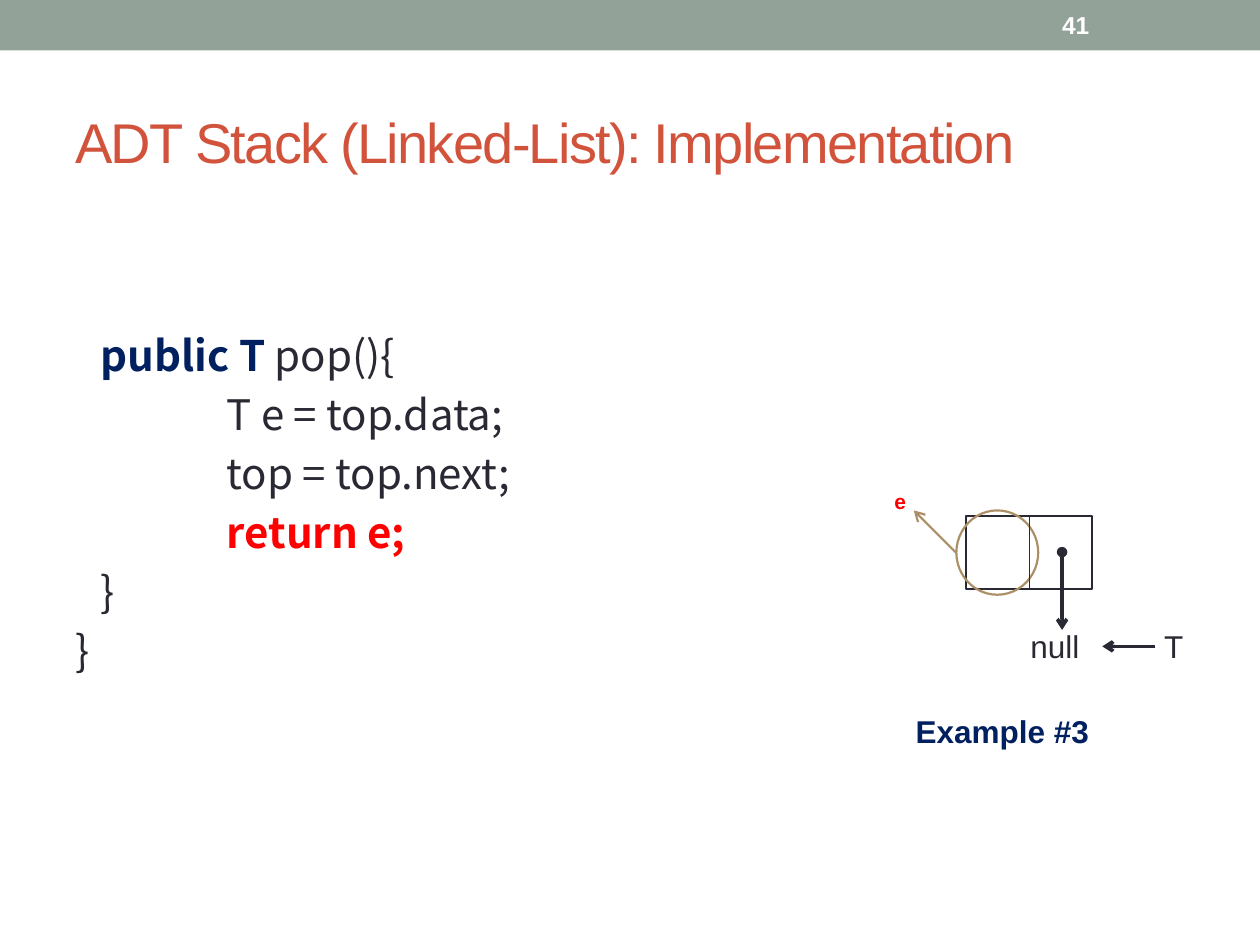
"""Builds a slide on popping the last node of a linked-list stack."""
from typing import NamedTuple, Optional

from lxml import etree
from pptx import Presentation
from pptx.dml.color import RGBColor
from pptx.enum.shapes import MSO_CONNECTOR, MSO_SHAPE
from pptx.enum.text import MSO_ANCHOR
from pptx.oxml.ns import qn
from pptx.util import Cm, Pt

RECT, OVAL = MSO_SHAPE.RECTANGLE, MSO_SHAPE.OVAL
STRAIGHT = MSO_CONNECTOR.STRAIGHT
TOP, MIDDLE = MSO_ANCHOR.TOP, MSO_ANCHOR.MIDDLE
SANS, CODE = "Arial", "Noto Sans CJK SC"
COLORS = {
    "bar": "93A299", "title": "D2533C", "ink": "292934", "navy": "002060",
    "red": "FF0000", "white": "FFFFFF", "tan": "AD8F67",
}


class Label(NamedTuple):
    text: str
    box: tuple[float, float, float, float]
    size: float
    color: str
    bold: bool = False
    anchor: MSO_ANCHOR = TOP
    spacing: int = 0


class Line(NamedTuple):
    start: tuple[float, float]
    end: tuple[float, float]
    color: str
    width: float
    head: Optional[str] = None
    tail: Optional[str] = None


class CodeLine(NamedTuple):
    indent: float
    runs: tuple[tuple[str, str, bool], ...]


LABELS = [
    Label("ADT Stack (Linked-List): Implementation", (1.27, 1.47, 22.86, 2.74),
          32, "title", anchor=MIDDLE, spacing=-100),
    Label("41", (21.16, 0.05, 2.97, 0.91), 14, "white", True, MIDDLE),
    Label("null", (20.52, 12.52, 1.68, 1.02), 18, "ink"),
    Label("Example #3", (18.21, 14.22, 4.17, 1.02), 18, "navy", True),
    Label("e", (17.78, 9.73, 0.64, 0.76), 12, "red", True),
    Label("T", (23.22, 12.52, 0.91, 1.02), 18, "ink"),
]
LINES = [
    Line((20.75, 10.41), (20.75, 11.88), "ink", 0.75),
    Line((21.41, 11.13), (21.41, 12.7), "ink", 2, "oval", "arrow"),
    Line((19.28, 11.15), (18.42, 10.29), "tan", 1.25, tail="arrow"),
    Line((23.29, 13.03), (22.22, 13.03), "ink", 2, tail="arrow"),
]
METHOD, BODY = 0.51, 3.05
CODE_LINES = [
    CodeLine(METHOD, (("public T", "navy", True), (" pop(){", "ink", False))),
    CodeLine(BODY, (("T e = top.data;", "ink", False),)),
    CodeLine(BODY, (("top = top.next;", "ink", False),)),
    CodeLine(BODY, (("return e;", "red", True),)),
    CodeLine(METHOD, (("}", "ink", False),)),
    CodeLine(0, (("}", "ink", False),)),
]


def rgb(name: str) -> RGBColor:
    return RGBColor.from_string(COLORS[name])


def add_run(p, text: str, *, size: float, color: str, bold: bool = False,
            font: str = SANS, spacing: int = 0) -> None:
    r = p.add_run()
    r.text = text
    r.font.size, r.font.bold, r.font.name = Pt(size), bold, font
    r.font.color.rgb = rgb(color)
    rPr = r.font._element
    if spacing:
        rPr.set("spc", str(spacing))
    etree.SubElement(rPr, qn("a:ea")).set("typeface", font)


def add_box(s, box: tuple[float, float, float, float], anchor: MSO_ANCHOR = TOP):
    tf = s.shapes.add_textbox(*map(Cm, box)).text_frame
    tf.word_wrap = True
    tf.vertical_anchor = anchor
    return tf


def add_label(s, label: Label) -> None:
    tf = add_box(s, label.box, label.anchor)
    add_run(tf.paragraphs[0], label.text, size=label.size, color=label.color,
            bold=label.bold, spacing=label.spacing)


def add_code(s, lines: list[CodeLine]) -> None:
    tf = add_box(s, (1.27, 6.35, 22.86, 11.63))
    for i, line in enumerate(lines):
        p = tf.add_paragraph() if i else tf.paragraphs[0]
        p.line_spacing = Pt(33.7)
        p._p.get_or_add_pPr().set("marL", str(Cm(line.indent)))
        for text, color, bold in line.runs:
            add_run(p, text, size=24, color=color, bold=bold, font=CODE)


def add_shape(s, kind: MSO_SHAPE, box: tuple[float, float, float, float],
              fill: Optional[str] = None, line: Optional[str] = None) -> None:
    sp = s.shapes.add_shape(kind, *map(Cm, box))
    sp.shadow.inherit = False
    if fill:
        sp.fill.solid()
        sp.fill.fore_color.rgb = rgb(fill)
    else:
        sp.fill.background()
    if line:
        sp.line.color.rgb = rgb(line)
        sp.line.width = Pt(1.25)
    else:
        sp.line.fill.background()


def add_line(s, line: Line) -> None:
    c = s.shapes.add_connector(STRAIGHT, *map(Cm, line.start + line.end))
    c.line.color.rgb = rgb(line.color)
    c.line.width = Pt(line.width)
    ln = c.line._get_or_add_ln()
    for tag, kind in (("a:headEnd", line.head), ("a:tailEnd", line.tail)):
        if kind:
            etree.SubElement(ln, qn(tag)).set("type", kind)
    etree.SubElement(c._element.spPr, qn("a:effectLst"))


def main() -> None:
    prs = Presentation()
    prs.slide_width, prs.slide_height = Cm(25.4), Cm(19.05)
    s = prs.slides.add_slide(prs.slide_layouts[6])
    add_shape(s, RECT, (0, 0, 25.4, 1.02), fill="bar")
    add_code(s, CODE_LINES)
    add_shape(s, RECT, (19.48, 10.41, 2.54, 1.47), fill="white", line="ink")
    add_shape(s, OVAL, (19.28, 10.29, 1.65, 1.7), line="tan")
    for line in LINES:
        add_line(s, line)
    for label in LABELS:
        add_label(s, label)
    prs.save("out.pptx")


main()
